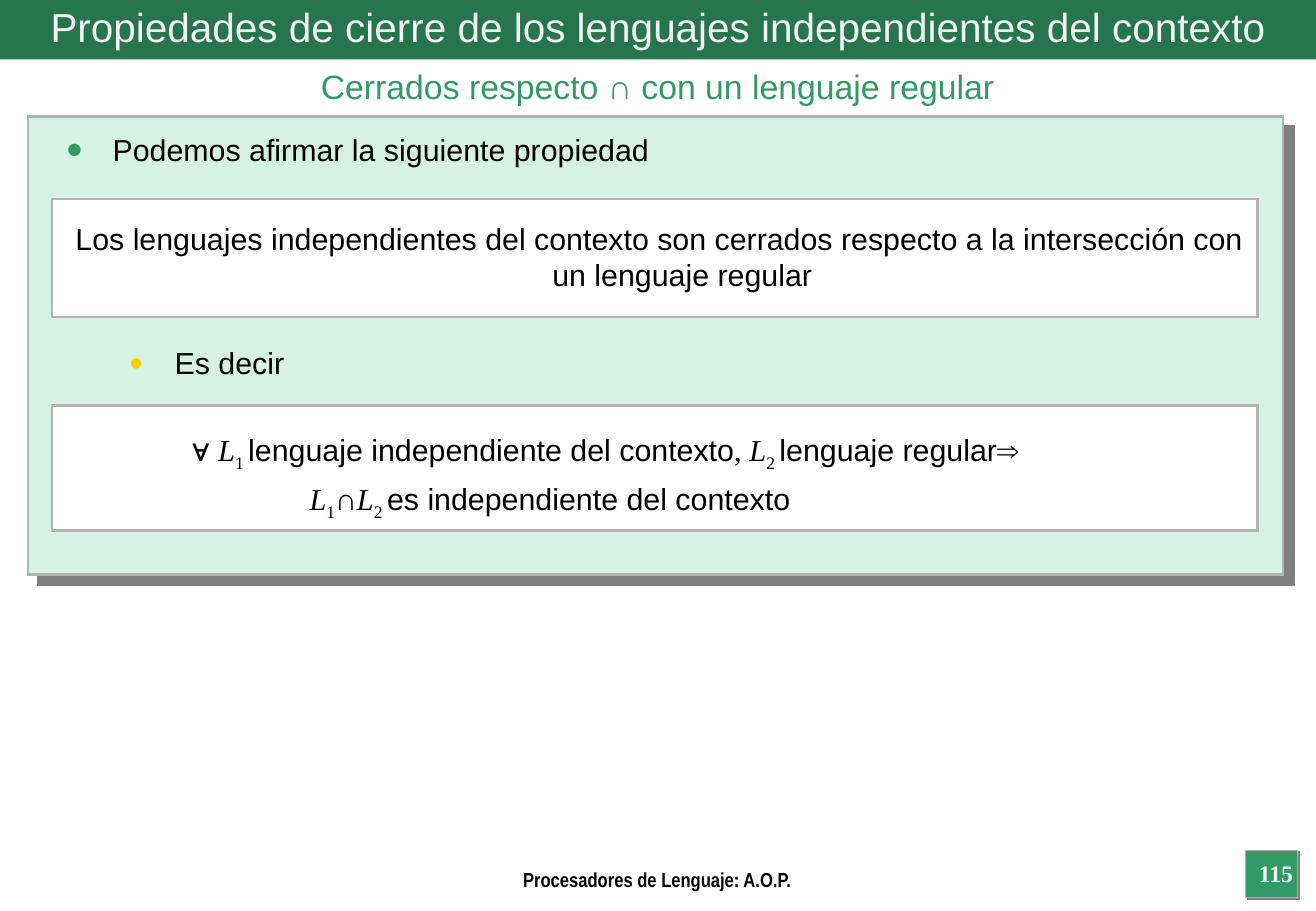
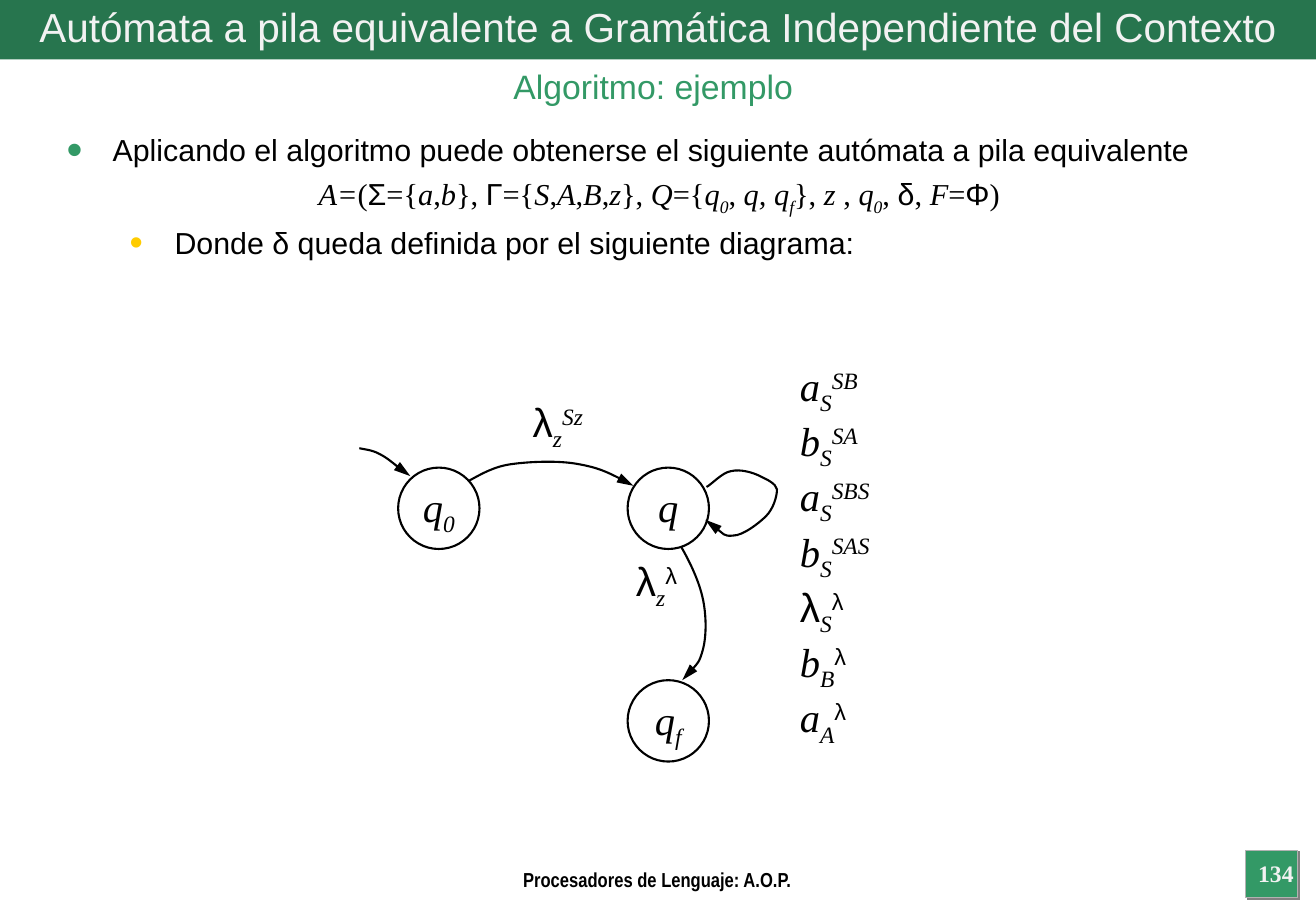
from lxml import etree
from pptx import Presentation
from pptx import util as u
from pptx.dml.color import RGBColor
from pptx.enum import shapes, text
from pptx.oxml import ns

GREEN = RGBColor(0x33, 0x99, 0x66)
DARK_GREEN = RGBColor(0x27, 0x75, 0x4E)
PALE_GREEN = RGBColor(0xD6, 0xF2, 0xE4)
YELLOW = RGBColor(0xFF, 0xCC, 0x00)
GREY = RGBColor(0xB2, 0xB2, 0xB2)
SHADOW_GREY = RGBColor(0x80, 0x80, 0x80)
BLACK = RGBColor(0, 0, 0)
WHITE = RGBColor(0xFF, 0xFF, 0xFF)
OFF_WHITE = RGBColor(0xF2, 0xF2, 0xF2)

SANS, NARROW, SERIF = "Arial", "Arial Narrow", "Times New Roman"
CENTER = text.PP_ALIGN.CENTER
RECTANGLE, OVAL = shapes.MSO_SHAPE.RECTANGLE, shapes.MSO_SHAPE.OVAL
WIDTH, HEIGHT = 10.84, 7.5
INSETS = (0.1, 0.05, 0.1, 0.05)
BODY_SIZE, MATH_SIZE, BODY_GAP = 18, 24, 4.5
NODE_SIZE = 0.67
FIRST_LEVEL = (0.38, -0.38)
SECOND_LEVEL = (0.89, -0.37)


def sub_element(parent, tag, **attributes):
    element = etree.SubElement(parent, ns.qn(tag))
    for name, value in attributes.items():
        element.set(name, str(value))
    return element


# Text
def add_runs(paragraph, runs, size, colour=BLACK, font=SANS, bold=False):
    """Runs are plain text or (text, style); t serif, i serif italic, _ sub, ^ super."""
    for item in [runs] if isinstance(runs, str) else runs:
        content, style = (item, "") if isinstance(item, str) else item
        run = paragraph.add_run()
        run.text = content
        run.font.size = u.Pt(size)
        run.font.bold = bold
        run.font.italic = "i" in style
        run.font.name = SERIF if set(style) & set("ti") else font
        run.font.color.rgb = colour
        for mark, baseline in (("_", -25000), ("^", 30000)):
            if mark in style:
                run.font._element.set("baseline", str(baseline))


def set_indent(paragraph, indent, bullet=None):
    properties = paragraph._p.get_or_add_pPr()
    left, first = indent
    properties.set("marL", str(u.Inches(left)))
    properties.set("indent", str(u.Inches(first)))
    if bullet:
        colour, percent = bullet
        sub_element(sub_element(properties, "a:buClr"), "a:srgbClr", val=colour)
        sub_element(properties, "a:buSzPct", val=percent * 1000)
        sub_element(properties, "a:buFont", typeface=SANS)
        sub_element(properties, "a:buChar", char="•")


def set_frame(frame, insets=INSETS, wrap=True, anchor=text.MSO_ANCHOR.TOP):
    (frame.margin_left, frame.margin_top,
     frame.margin_right, frame.margin_bottom) = map(u.Inches, insets)
    frame.word_wrap = wrap
    frame.vertical_anchor = anchor


def next_paragraph(frame, space_before=BODY_GAP):
    """Gives the unused first paragraph, or a new one with space before it."""
    if not frame.paragraphs[0].runs:
        return frame.paragraphs[0]
    paragraph = frame.add_paragraph()
    paragraph.space_before = u.Pt(space_before)
    return paragraph


def add_item(frame, runs, indent, bullet=None, align=None, space_before=BODY_GAP):
    paragraph = next_paragraph(frame, space_before)
    set_indent(paragraph, indent, bullet)
    paragraph.alignment = align
    add_runs(paragraph, runs, BODY_SIZE)


def add_topic(frame, runs):
    add_item(frame, runs, FIRST_LEVEL, (GREEN, 150))


def add_subtopic(frame, runs, space_before=BODY_GAP):
    add_item(frame, runs, SECOND_LEVEL, (YELLOW, 125), space_before=space_before)


def add_text_box(slide, box, wrap=True, anchor=text.MSO_ANCHOR.TOP):
    frame = slide.shapes.add_textbox(*map(u.Inches, box)).text_frame
    set_frame(frame, wrap=wrap, anchor=anchor)
    return frame


def add_line_of_text(slide, box, content, size, colour=BLACK, font=SANS,
                     bold=False, anchor=text.MSO_ANCHOR.TOP):
    paragraph = add_text_box(slide, box, anchor=anchor).paragraphs[0]
    paragraph.alignment = CENTER
    add_runs(paragraph, content, size, colour, font, bold)


def add_labels(slide, box, *lines):
    frame = add_text_box(slide, box)
    for runs in lines:
        add_runs(next_paragraph(frame, 0), runs, MATH_SIZE)


# Shapes
def add_shape(slide, kind, box, fill=None, line=None, line_width=1.5, shadow=None):
    shape = slide.shapes.add_shape(kind, *map(u.Inches, box))
    shape.shadow.inherit = False
    if fill is None:
        shape.fill.background()
    else:
        shape.fill.solid()
        shape.fill.fore_color.rgb = fill
    if line is None:
        shape.line.fill.background()
    else:
        shape.line.color.rgb = line
        shape.line.width = u.Pt(line_width)
        sub_element(shape.line._get_or_add_ln(), "a:miter", lim=800000)
    if shadow:
        effects = shape._element.spPr.find(ns.qn("a:effectLst"))
        outer = sub_element(effects, "a:outerShdw", blurRad=0, dist=u.Pt(shadow),
                            dir=45 * 60000, algn="ctr", rotWithShape=0)
        sub_element(outer, "a:srgbClr", val=SHADOW_GREY)
    return shape


def add_statement(slide, top, height, inset_top):
    shape = add_shape(slide, RECTANGLE, (0.43, top, 9.93, height), WHITE, GREY)
    set_frame(shape.text_frame, (0.12, inset_top, 0.05, 0))
    return shape.text_frame


def add_state(slide, left, top, runs):
    shape = add_shape(slide, OVAL, (left, top, NODE_SIZE, NODE_SIZE),
                      line=BLACK, line_width=1.25)
    set_frame(shape.text_frame, (0, 0.02, 0, 0), wrap=False)
    paragraph = shape.text_frame.paragraphs[0]
    paragraph.alignment = CENTER
    add_runs(paragraph, runs, MATH_SIZE)


def add_curved_arrow(slide, start, *points):
    """Each three points after the start are one cubic curve."""
    emu = [(u.Inches(x), u.Inches(y)) for x, y in (start, *points)]
    builder = slide.shapes.build_freeform(*emu[0])
    builder.add_line_segments(emu[1:], close=False)
    shape = builder.convert_to_shape()
    shape.shadow.inherit = False
    shape.fill.background()
    shape.line.color.rgb = BLACK
    shape.line.width = u.Pt(1.25)
    sub_element(shape.line._get_or_add_ln(), "a:tailEnd",
                type="triangle", w="med", len="lg")
    # Turn the straight segments into curves
    path = next(shape._element.iter(ns.qn("a:path")))
    segments = path.findall(ns.qn("a:lnTo"))
    for first in range(0, len(segments), 3):
        curve = sub_element(path, "a:cubicBezTo")
        for segment in segments[first:first + 3]:
            curve.append(segment[0])
            path.remove(segment)


# Parts that every slide shares
def add_slide(presentation, title, subtitle, number):
    slide = presentation.slides.add_slide(presentation.slide_layouts[6])
    add_shape(slide, RECTANGLE, (10.26, 7, 0.43, 0.39), GREEN, GREY, 0.75, shadow=1.4)
    add_shape(slide, RECTANGLE, (0, 0, WIDTH, 0.49), DARK_GREEN)
    add_line_of_text(slide, (0, 0, WIDTH, 0.44), title, 24, OFF_WHITE,
                     anchor=text.MSO_ANCHOR.MIDDLE)
    add_line_of_text(slide, (0, 0.49, WIDTH, 0.44), subtitle, 20, GREEN)
    add_line_of_text(slide, (3.01, 7.09, 4.81, 0.18), "Procesadores de Lenguaje: A.O.P.",
                     12, font=NARROW, bold=True)
    add_line_of_text(slide, (10.24, 7.02, 0.54, 0.35), number, 14, OFF_WHITE, SERIF, True)
    return slide


def add_closure_slide(presentation):
    slide = add_slide(presentation,
                      "Propiedades de cierre de los lenguajes independientes del contexto",
                      "Cerrados respecto ∩ con un lenguaje regular", "115")
    add_shape(slide, RECTANGLE, (0.23, 0.96, 10.34, 3.77), PALE_GREEN, GREY, shadow=8.5)

    property_frame = add_statement(slide, 1.64, 0.97, 0.17)
    add_item(property_frame,
             "Los lenguajes independientes del contexto son cerrados respecto a la "
             "intersección con un lenguaje regular", FIRST_LEVEL, align=CENTER)

    formal_frame = add_statement(slide, 3.34, 1.03, 0.21)
    add_item(formal_frame,
             ["∀ ", ("L", "i"), ("1 ", "t_"), "lenguaje independiente del contexto",
              (", ", "t"), ("L", "i"), ("2 ", "t_"), "lenguaje regular⇒"], (1.41, -0.38))
    add_item(formal_frame,
             [("L", "i"), ("1", "t_"), "∩", ("L", "i"), ("2 ", "t_"),
              "es independiente del contexto"], (2.38, -0.38))

    body = add_text_box(slide, (0.45, 1.03, 9.96, 2.2))
    add_topic(body, "Podemos afirmar la siguiente propiedad")
    add_subtopic(body, "Es decir", space_before=105)


def add_automaton_slide(presentation):
    slide = add_slide(presentation,
                      "Autómata a pila equivalente a Gramática Independiente del Contexto",
                      "Algoritmo: ejemplo ", "134")
    body = add_text_box(slide, (0.45, 1.03, 9.96, 1.3))
    add_topic(body, "Aplicando el algoritmo puede obtenerse el siguiente autómata "
                    "a pila equivalente")
    comma = (",", "t")
    separator = (", ", "t")
    initial_state = [("q", "i"), ("0", "i_")]
    add_item(body,
             [("A=", "i"), ("(", "t"), "Σ", ("={", "t"), ("a", "i"), comma, ("b", "i"),
              ("}, ", "t"), "Γ", ("={", "t"), ("S", "i"), comma, ("A", "i"), comma,
              ("B", "i"), comma, ("z", "i"), ("}, ", "t"), ("Q", "i"), ("={", "t"),
              *initial_state, separator, ("q, q", "i"), ("f", "i_"), ("}, ", "t"),
              ("z ", "i"), separator, *initial_state, separator, "δ", separator,
              ("F", "i"), ("=", "t"), "Φ", (")", "t")],
             FIRST_LEVEL, align=CENTER)
    add_subtopic(body, "Donde δ queda definida por el siguiente diagrama:")

    # States
    add_state(slide, 3.28, 3.85, initial_state)
    add_state(slide, 5.17, 3.85, [("q", "i")])
    add_state(slide, 5.17, 5.6, [("q", "i"), ("f", "i_")])

    # Transitions: entry, q0 to q, q to itself, q to qf
    add_curved_arrow(slide, (2.96, 3.69), (2.99, 3.7), (3.06, 3.7), (3.13, 3.74),
                     (3.19, 3.77), (3.32, 3.88), (3.38, 3.92))
    add_curved_arrow(slide, (3.86, 3.96), (3.97, 3.9), (4.07, 3.84), (4.22, 3.82),
                     (4.37, 3.8), (4.6, 3.79), (4.76, 3.82),
                     (4.93, 3.85), (5.08, 3.92), (5.22, 4))
    add_curved_arrow(slide, (5.82, 4.01), (5.86, 3.99), (5.95, 3.89), (6.02, 3.88),
                     (6.1, 3.86), (6.2, 3.89), (6.26, 3.92),
                     (6.32, 3.95), (6.39, 3.98), (6.4, 4.03),
                     (6.4, 4.09), (6.37, 4.19), (6.31, 4.25),
                     (6.25, 4.31), (6.12, 4.41), (6.04, 4.41),
                     (5.96, 4.42), (5.86, 4.31), (5.81, 4.28))
    add_curved_arrow(slide, (5.61, 4.5), (5.69, 4.64), (5.76, 4.79), (5.79, 4.93),
                     (5.82, 5.07), (5.82, 5.24), (5.79, 5.35),
                     (5.76, 5.46), (5.69, 5.53), (5.62, 5.6))

    # Transition labels: symbol read, stack top below, pushed symbols above
    popped = ("λ", "^")
    add_labels(slide, (4.29, 3.22, 0.8, 0.56), ["λ", ("z", "i_"), ("Sz", "i^")])
    add_labels(slide, (5.14, 4.53, 0.7, 0.56), ["λ", ("z", "i_"), popped])
    expansions = [[(symbol, "i"), ("S", "i_"), (pushed, "i^")] for symbol, pushed in
                  (("a", "SB"), ("b", "SA"), ("a", "SBS"), ("b", "SAS"))]
    add_labels(slide, (6.49, 2.92, 1, 3.29), *expansions,
               ["λ", ("S", "i_"), popped],
               [("b", "i"), ("B", "i_"), popped],
               [("a", "i"), ("A", "i_"), popped])


def main():
    presentation = Presentation()
    presentation.slide_width = u.Inches(WIDTH)
    presentation.slide_height = u.Inches(HEIGHT)
    add_closure_slide(presentation)
    add_automaton_slide(presentation)
    presentation.save("out.pptx")


if __name__ == "__main__":
    main()
